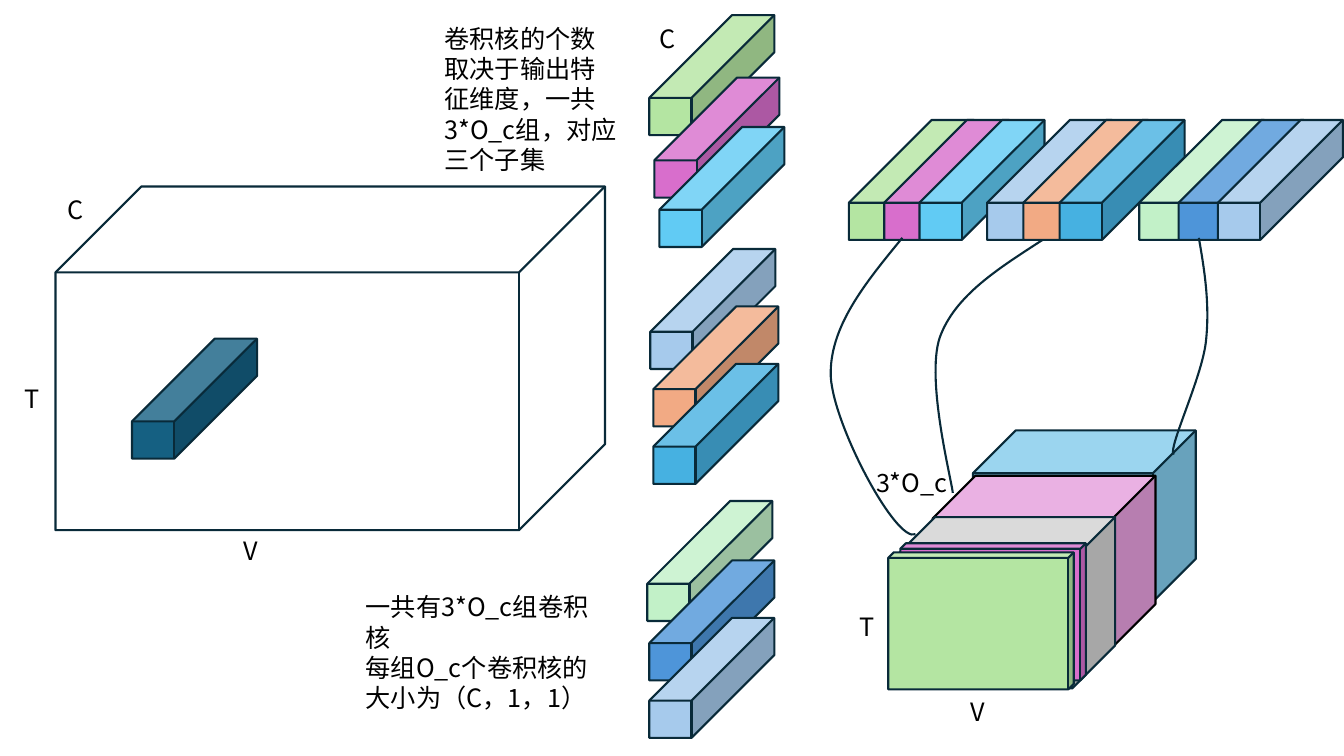
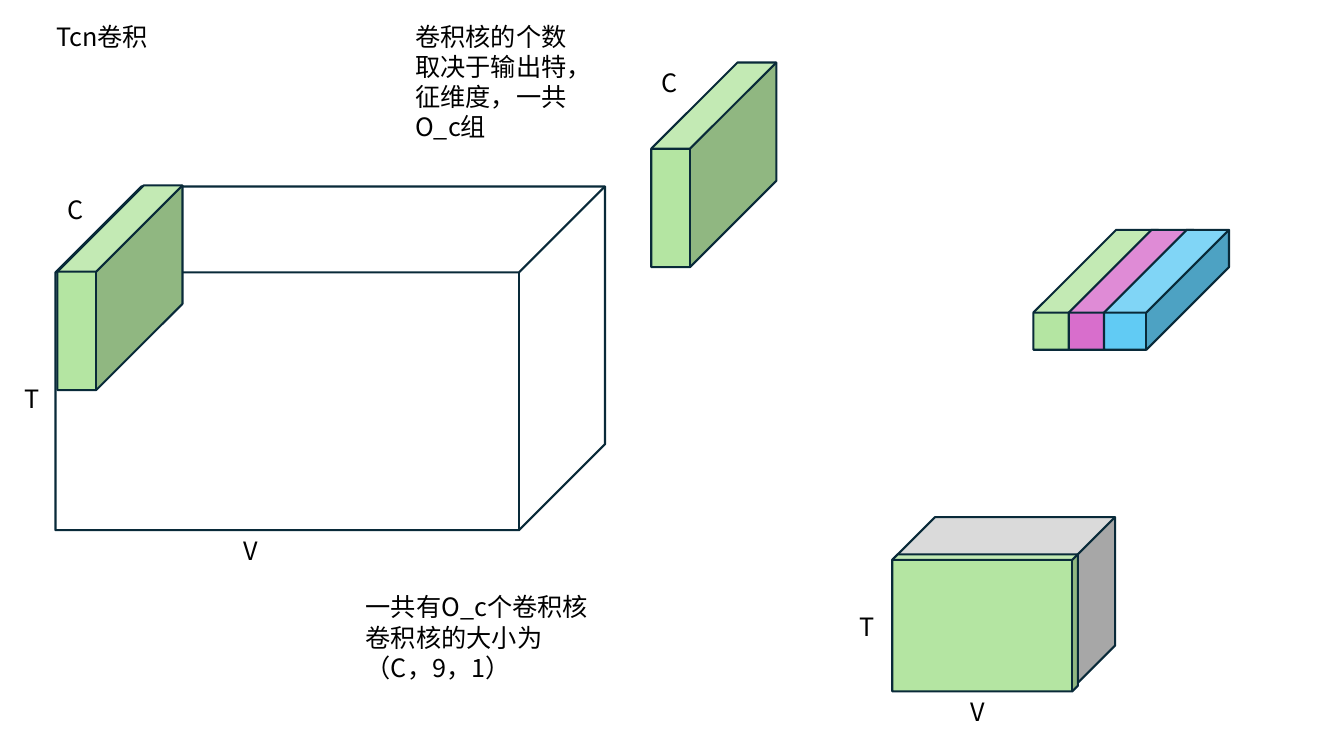
from dataclasses import dataclass

from lxml.etree import SubElement
from pptx import Presentation
from pptx.dml.color import RGBColor
from pptx.enum.shapes import MSO_SHAPE
from pptx.enum.text import MSO_AUTO_SIZE
from pptx.oxml.ns import qn
from pptx.shapes.autoshape import Shape
from pptx.slide import Slide
from pptx.util import Inches, Pt

FONT = "Noto Sans CJK SC"
COLORS = {
    "line": "092A39", "black": "000000", "teal": "156082", "green": "B4E5A2",
    "magenta": "D86ECC", "cyan": "61CBF4", "pale": "A6CAEC", "orange": "F2AA84",
    "blue": "46B1E1", "mint": "C2F1C8", "royal": "4E95D9", "sky": "83CBEB",
    "pink": "E59EDD", "gray": "D1D1D1",
}
DEEP, THIN = 0.69, 0.04
Point = tuple[float, float]


@dataclass
class Cube:
    x: float
    y: float
    w: float
    h: float
    fill: str | None = None
    depth: float = 0.25
    line: str = "line"


@dataclass
class Label:
    x: float
    y: float
    w: float
    h: float
    text: str


@dataclass
class Strip:
    x: float
    y: float
    step: float
    fills: tuple[str, ...]


def color(name: str) -> RGBColor:
    return RGBColor.from_string(COLORS[name])


def style(shape: Shape, fill: str | None, line: str = "line") -> None:
    shape.shadow.inherit = False
    if fill:
        shape.fill.solid()
        shape.fill.fore_color.rgb = color(fill)
    else:
        shape.fill.background()
    shape.line.color.rgb = color(line)
    shape.line.width = Pt(1.5)


def draw_cube(slide: Slide, cube: Cube) -> None:
    shape = slide.shapes.add_shape(
        MSO_SHAPE.CUBE, Inches(cube.x), Inches(cube.y), Inches(cube.w), Inches(cube.h))
    shape.adjustments[0] = cube.depth
    style(shape, cube.fill, cube.line)


def draw_label(slide: Slide, label: Label) -> None:
    box = slide.shapes.add_textbox(
        Inches(label.x), Inches(label.y), Inches(label.w), Inches(label.h))
    frame = box.text_frame
    frame.word_wrap = True
    frame.auto_size = MSO_AUTO_SIZE.SHAPE_TO_FIT_TEXT
    frame.text = label.text
    for para in frame.paragraphs:
        for run in para.runs:
            run.font.name = FONT
            run.font.size = Pt(18)
            run.font.color.rgb = color("black")
            SubElement(run.font._element, qn("a:ea")).set("typeface", FONT)


def kernel(x: float, y: float, fill: str) -> Cube:
    return Cube(x, y, 1.24, 1.19, fill, DEEP)


def tall(x: float, y: float) -> Cube:
    return Cube(x, y, 1.24, 2.03, "green", DEEP)


def block(x: float, y: float, fill: str, line: str = "line") -> Cube:
    return Cube(x, y, 2.21, 1.7, fill, line=line)


def sheet(x: float, y: float, fill: str) -> Cube:
    return Cube(x, y, 1.84, 1.36, fill, THIN)


def draw_strip(slide: Slide, strip: Strip) -> None:
    for i, fill in enumerate(strip.fills):
        draw_cube(slide, kernel(strip.x + i * strip.step, strip.y, fill))


def draw_curve(slide: Slide, knots: list[Point]) -> None:
    spots = [(Inches(x), Inches(y)) for x, y in knots]
    pen = slide.shapes.build_freeform(*spots[0])
    pen.add_line_segments(spots[3::3], close=False)
    shape = pen.convert_to_shape()
    style(shape, None)
    # Bend each straight segment into a cubic one
    lines = list(shape._element.iter(qn("a:lnTo")))
    for i, line in enumerate(lines):
        bend = line.makeelement(qn("a:cubicBezTo"))
        for x, y in spots[3 * i + 1:3 * i + 4]:
            spot = SubElement(bend, qn("a:pt"))
            spot.set("x", str(x - shape.left))
            spot.set("y", str(y - shape.top))
        line.getparent().replace(line, bend)


# Parts on both slides
INPUT = Cube(0.55, 1.85, 5.45, 3.41)
AXES = [
    Label(2.32, 5.26, 0.93, 0.4, "V"),
    Label(0.14, 3.75, 0.32, 0.4, "T"),
    Label(0.57, 1.88, 0.45, 0.4, "C"),
    Label(9.53, 6.86, 0.93, 0.4, "V"),
    Label(8.43, 6.02, 0.32, 0.4, "T"),
]
OUTPUT = block(8.85, 5.13, "gray")
TRIO = ("green", "magenta", "cyan")

# First slide
STACKS = [
    kernel(6.44, 0.15, "green"), kernel(6.49, 0.77, "magenta"), kernel(6.54, 1.26, "cyan"),
    kernel(6.45, 2.47, "pale"), kernel(6.48, 3.04, "orange"), kernel(6.48, 3.61, "blue"),
    kernel(6.42, 4.97, "mint"), kernel(6.44, 5.56, "royal"), kernel(6.44, 6.13, "pale"),
]
STRIPS = [
    Strip(8.42, 1.19, 0.35, TRIO),
    Strip(9.79, 1.19, 0.36, ("pale", "orange", "blue")),
    Strip(11.3, 1.19, 0.39, ("mint", "royal", "pale")),
]
LAYERS = [
    block(9.65, 4.27, "sky"), block(9.25, 4.72, "pink", "black"), OUTPUT,
    sheet(8.93, 5.39, "magenta"), sheet(8.81, 5.48, "green"),
]
CURVES = [
    [(8.95, 2.36), (8.58, 2.81), (8.22, 3.25), (8.24, 3.74),
     (8.27, 4.23), (8.89, 5.39), (9.08, 5.3)],
    [(10.34, 2.38), (9.91, 2.66), (9.47, 2.93), (9.32, 3.35),
     (9.18, 3.77), (9.44, 4.77), (9.45, 4.89)],
    [(11.89, 2.36), (11.95, 2.7), (12, 3.03), (11.96, 3.39),
     (11.92, 3.75), (11.58, 4.45), (11.64, 4.51)],
]
GROUP_NOTES = [
    Label(4.31, 0.18, 1.94, 1.62, "卷积核的个数取决于输出特征维度，一共3*O_c组，对应三个子集"),
    Label(3.53, 5.82, 2.47, 1.31, "一共有3*O_c组卷积核\n每组O_c个卷积核的大小为（C，1，1）"),
    Label(6.44, 0.18, 0.44, 0.4, "C"),
    Label(8.59, 4.59, 1.02, 0.4, "3*O_c"),
]

# Second slide
TALL_STRIP = Strip(10.25, 2.28, 0.35, TRIO)
TALL_CUBES = [tall(6.46, 0.62), OUTPUT, tall(0.57, 1.84), sheet(8.85, 5.5, "green")]
TALL_NOTES = [
    Label(4.02, 0.16, 1.94, 1.31, "卷积核的个数取决于输出特，征维度，一共O_c组"),
    Label(3.53, 5.82, 2.47, 1.01, "一共有O_c个卷积核\n卷积核的大小为（C，9，1）"),
    Label(6.46, 0.62, 0.44, 0.4, "C"),
    Label(0.46, 0.16, 2.79, 0.4, "Tcn卷积"),
]


def draw_slide(deck: Presentation, cubes: list[Cube], strips: list[Strip],
               curves: list[list[Point]], notes: list[Label]) -> None:
    slide = deck.slides.add_slide(deck.slide_layouts[6])
    for cube in [INPUT, *cubes]:
        draw_cube(slide, cube)
    for strip in strips:
        draw_strip(slide, strip)
    for curve in curves:
        draw_curve(slide, curve)
    for label in AXES + notes:
        draw_label(slide, label)


def main() -> None:
    deck = Presentation()
    deck.slide_width, deck.slide_height = Inches(13.33), Inches(7.5)
    probe = kernel(1.31, 3.36, "teal")
    draw_slide(deck, [probe, *STACKS, *LAYERS], STRIPS, CURVES, GROUP_NOTES)
    draw_slide(deck, TALL_CUBES, [TALL_STRIP], [], TALL_NOTES)
    deck.save("out.pptx")


if __name__ == "__main__":
    main()
